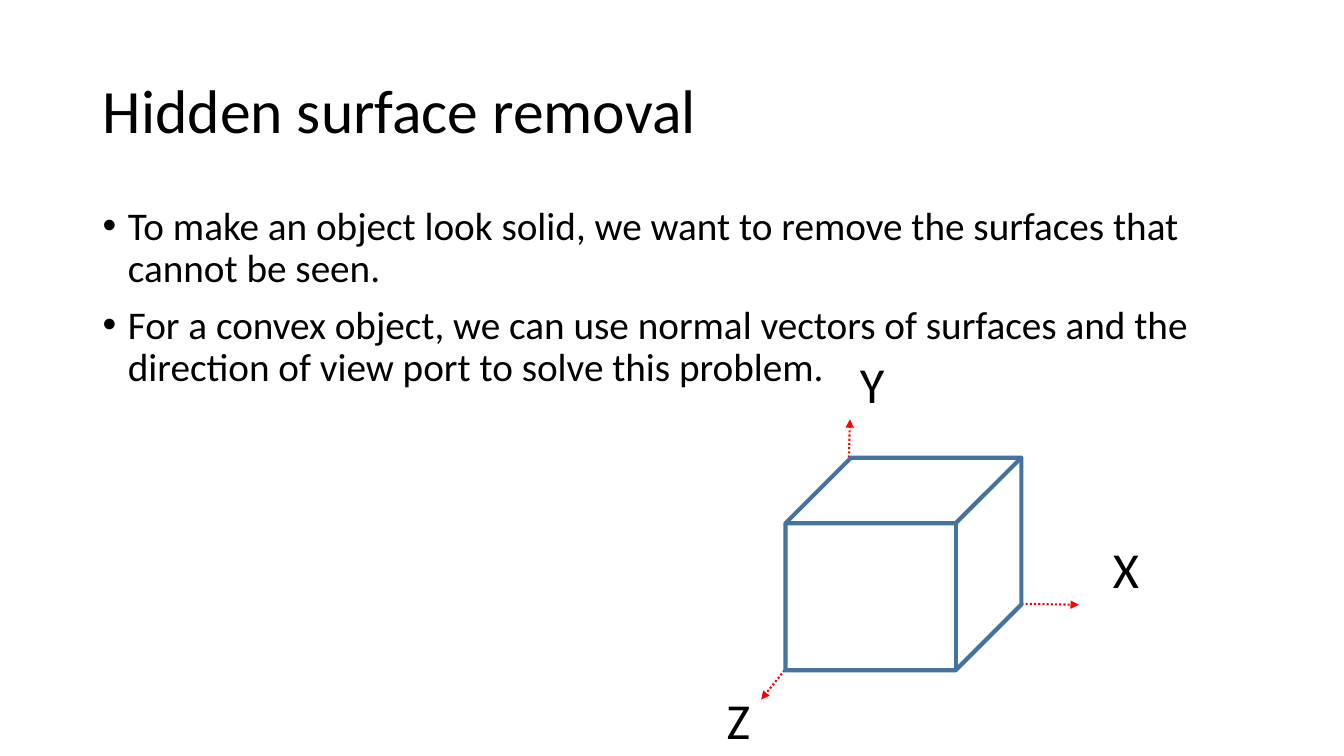
from lxml import etree
from pptx import Presentation
from pptx.dml.color import RGBColor
from pptx.enum.dml import MSO_LINE
from pptx.enum.shapes import MSO_CONNECTOR, MSO_SHAPE
from pptx.enum.text import MSO_ANCHOR, PP_ALIGN
from pptx.oxml.ns import qn
from pptx.util import Inches, Pt

# Content
TITLE = "Hidden surface removal"
BULLETS = [
    "To make an object look solid, we want to remove the surfaces that cannot be seen.",
    "For a convex object, we can use normal vectors of surfaces and the "
    "direction of view port to solve this problem.",
]
CUBE = (7.79, 4.54, 2.34, 2.11)
CUBE_DEPTH = 0.309
# Axis: label box, arrow start, arrow end
AXES = {
    "X": ((10.94, 5.29, 0.46, 0.71), (10.13, 5.99), (10.7, 6)),
    "Y": ((8.43, 3.45, 0.45, 0.71), (8.42, 4.54), (8.43, 4.16)),
    "Z": ((7.11, 6.79, 0.44, 0.71), (7.78, 6.65), (7.55, 6.94)),
}
FONT, BLACK, RED, BLUE = "Calibri", "000000", "FF0000", "43739E"


def inches(values):
    return [Inches(v) for v in values]


def color(hex_code):
    return RGBColor.from_string(hex_code)


def style(p, size):
    p.alignment = PP_ALIGN.LEFT
    for r in p.runs:
        r.font.name, r.font.size = FONT, Pt(size)
        r.font.color.rgb = color(BLACK)


def add_bullet(p):
    pPr = p._p.get_or_add_pPr()
    pPr.set("marL", str(Inches(0.25)))
    pPr.set("indent", str(-Inches(0.25)))
    etree.SubElement(pPr, qn("a:buFont")).set("typeface", "Arial")
    etree.SubElement(pPr, qn("a:buChar")).set("char", "•")


def add_arrow(start, end):
    line = s.shapes.add_connector(MSO_CONNECTOR.STRAIGHT, *inches(start + end))
    line.line.color.rgb = color(RED)
    line.line.width = Pt(1.5)
    line.line.dash_style = MSO_LINE.ROUND_DOT
    etree.SubElement(line.line._get_or_add_ln(), qn("a:tailEnd")).set("type", "triangle")
    etree.SubElement(line._element.spPr, qn("a:effectLst"))


prs = Presentation()
prs.slide_width, prs.slide_height = Inches(13.33), Inches(7.5)
s = prs.slides.add_slide(prs.slide_layouts[5])

# Title
title = s.shapes.title
title.left, title.top, title.width, title.height = inches((0.92, 0.4, 11.5, 1.45))
tf = title.text_frame
tf.text = TITLE
tf.vertical_anchor = MSO_ANCHOR.MIDDLE
tf.paragraphs[0].line_spacing = 0.9
style(tf.paragraphs[0], 44)

# Bullets
tf = s.shapes.add_textbox(*inches((0.92, 2, 11.5, 4.76))).text_frame
tf.word_wrap = True
tf.text = "\n".join(BULLETS)
for p in tf.paragraphs:
    p.line_spacing, p.space_before = 0.9, Pt(10)
    add_bullet(p)
    style(p, 28)

# Axes with labels
for name, (box, start, end) in AXES.items():
    add_arrow(start, end)
    tf = s.shapes.add_textbox(*inches(box)).text_frame
    tf.word_wrap = False
    tf.text = name
    style(tf.paragraphs[0], 36)

# Cube
cube = s.shapes.add_shape(MSO_SHAPE.CUBE, *inches(CUBE))
cube.adjustments[0] = CUBE_DEPTH
cube.shadow.inherit = False
cube.fill.background()
cube.line.color.rgb = color(BLUE)
cube.line.width = Pt(3)

prs.save("out.pptx")
